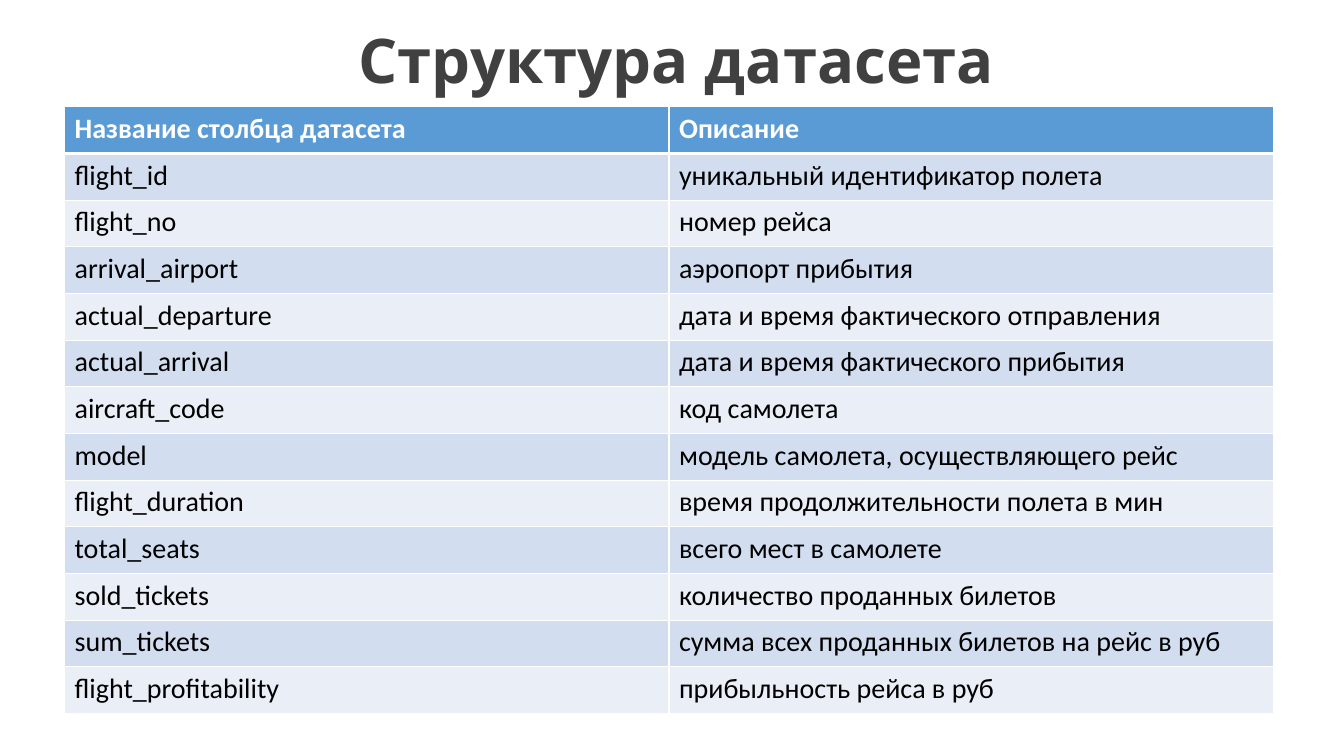
"""Build the slide that describes the columns of the flight dataset."""
from typing import NamedTuple

from lxml.etree import SubElement, fromstring
from pptx import Presentation
from pptx.dml.color import RGBColor as Rgb
from pptx.enum.text import MSO_ANCHOR as Anchor, PP_ALIGN as Align
from pptx.oxml.ns import qn
from pptx.util import Inches, Pt

HEAD, BANDS, WHITE = "5B9BD5", ("D2DEEF", "EAEFF7"), "FFFFFF"
SHADE = (
    '<a:effectLst xmlns:a="http://schemas.openxmlformats.org/drawingml/2006/main">'
    '<a:outerShdw blurRad="38100" dist="38100" dir="2700000" algn="tl">'
    '<a:srgbClr val="000000"><a:alpha val="43000"/></a:srgbClr>'
    "</a:outerShdw></a:effectLst>"
)


class Field(NamedTuple):
    name: str
    note: str


FIELDS = [
    Field("Название столбца датасета", "Описание"),
    Field("flight_id", "уникальный идентификатор полета"),
    Field("flight_no", "номер рейса"),
    Field("arrival_airport", "аэропорт прибытия"),
    Field("actual_departure", "дата и время фактического отправления"),
    Field("actual_arrival", "дата и время фактического прибытия"),
    Field("aircraft_code", "код самолета"),
    Field("model", "модель самолета, осуществляющего рейс"),
    Field("flight_duration", "время продолжительности полета в мин"),
    Field("total_seats", "всего мест в самолете"),
    Field("sold_tickets", "количество проданных билетов"),
    Field("sum_tickets", "сумма всех проданных билетов на рейс в руб"),
    Field("flight_profitability", "прибыльность рейса в руб"),
]


def paint(fill, tone: str) -> None:
    fill.solid()
    fill.fore_color.rgb = Rgb.from_string(tone)


def style(run, tone: str, **form) -> None:
    for key, value in form.items():
        setattr(run.font, key, value)
    paint(run.font.fill, tone)


def edge(cell, side: str, width: float) -> None:
    line = SubElement(cell._tc.get_or_add_tcPr(), qn(f"a:ln{side}"), w=str(Pt(width)))
    fill = SubElement(line, qn("a:solidFill"))
    SubElement(fill, qn("a:srgbClr"), val=WHITE)


def add_title(slide, text: str) -> None:
    title = slide.shapes.title
    box = {"left": 0.96, "top": 0.2, "width": 11.5, "height": 0.86}
    for key, value in box.items():
        setattr(title, key, Inches(value))
    frame = title.text_frame
    frame.word_wrap = True
    frame.vertical_anchor = Anchor.MIDDLE
    para = frame.paragraphs[0]
    para.alignment, para.line_spacing = Align.CENTER, 0.9
    run = para.add_run()
    run.text = text
    style(run, "404040", name="League Spartan", size=Pt(44), bold=True)
    run.font._element.find(qn("a:solidFill")).addnext(fromstring(SHADE))


def fill_cell(cell, text: str, row: int) -> None:
    head = row == 0
    for side in "LRTB":
        if side != "T" or head:
            edge(cell, side, 3 if head and side == "B" else 1)
    paint(cell.fill, HEAD if head else BANDS[(row - 1) % 2])
    run = cell.text_frame.paragraphs[0].add_run()
    run.text = text
    style(run, WHITE if head else "000000", name="Calibri", size=Pt(20), bold=head)


def add_grid(slide, fields: list[Field]) -> None:
    place = map(Inches, (0.64, 1.06, 11.99, 6.02))
    table = slide.shapes.add_table(len(fields), 2, *place).table
    for row, field in enumerate(fields):
        for col, text in enumerate(field):
            fill_cell(table.cell(row, col), text, row)


def main() -> None:
    deck = Presentation()
    deck.slide_width, deck.slide_height = Inches(13.33), Inches(7.5)
    slide = deck.slides.add_slide(deck.slide_layouts[5])
    paint(slide.background.fill, WHITE)
    add_title(slide, "Структура датасета")
    add_grid(slide, FIELDS)
    deck.save("out.pptx")


if __name__ == "__main__":
    main()
